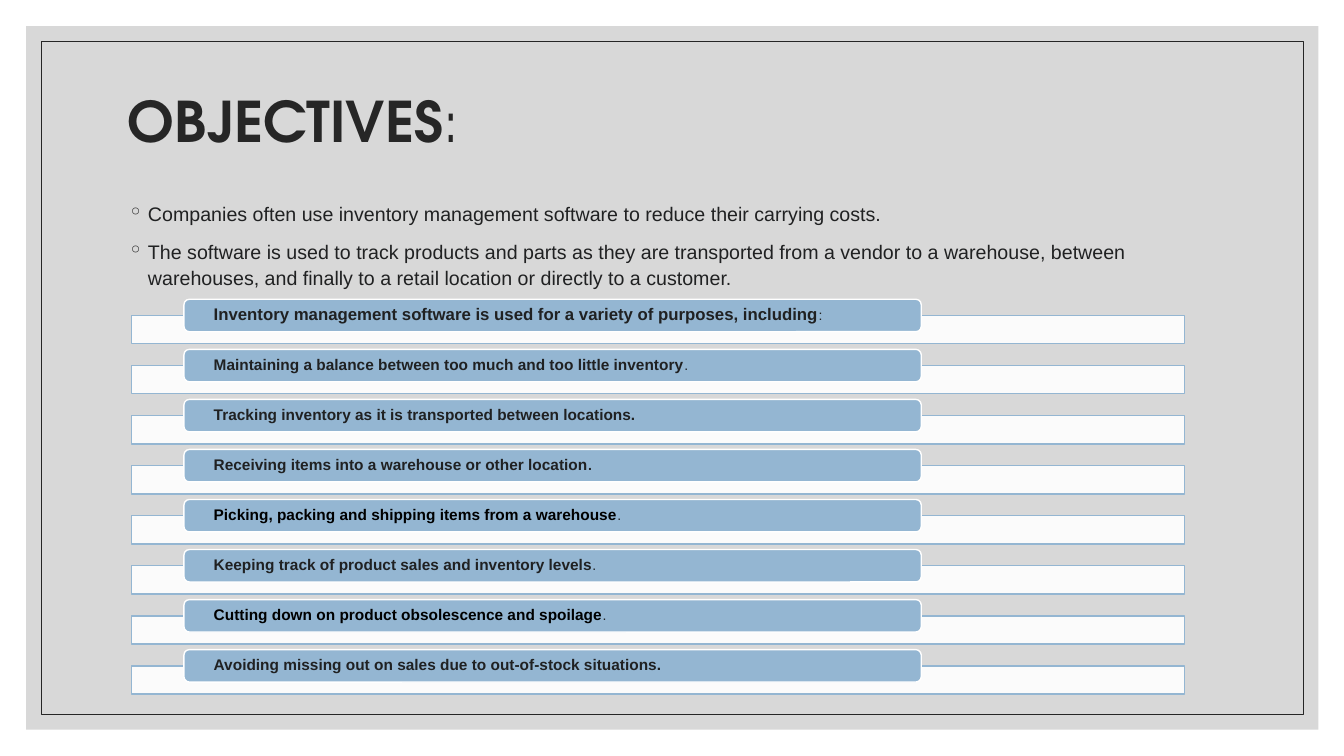
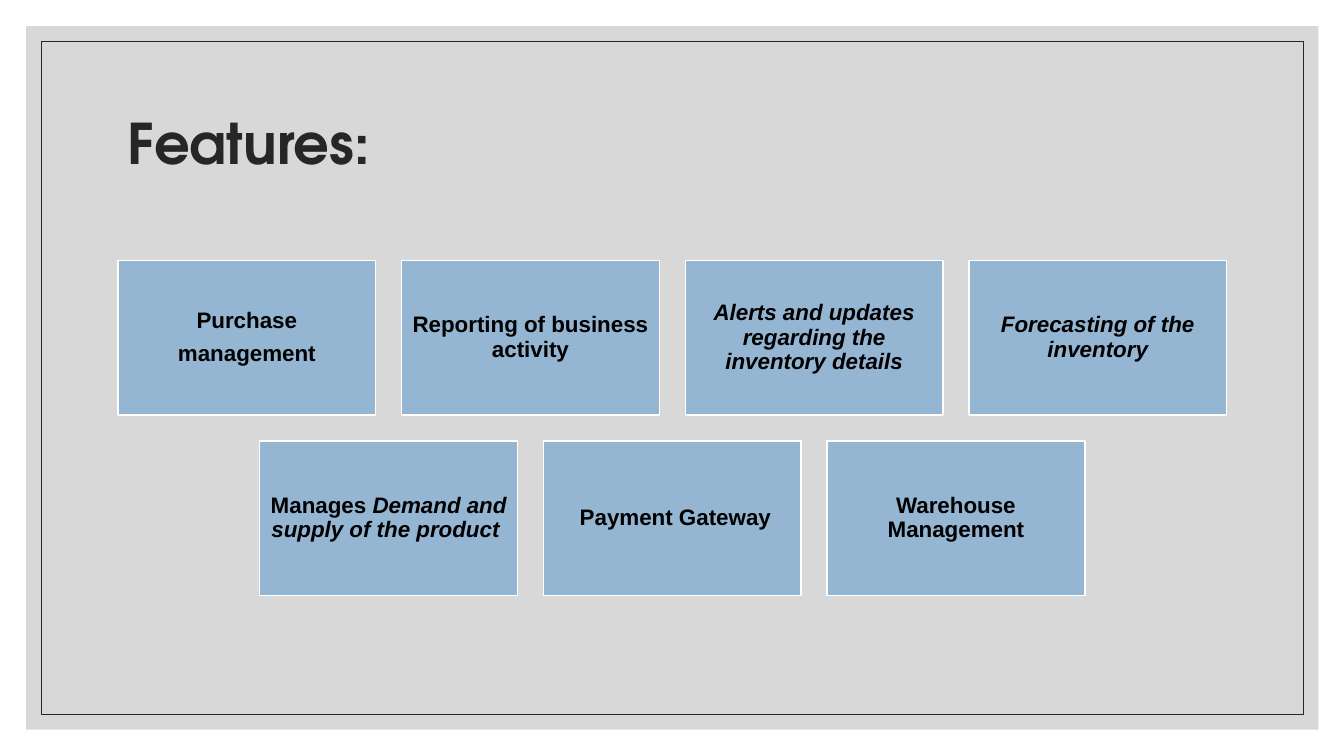
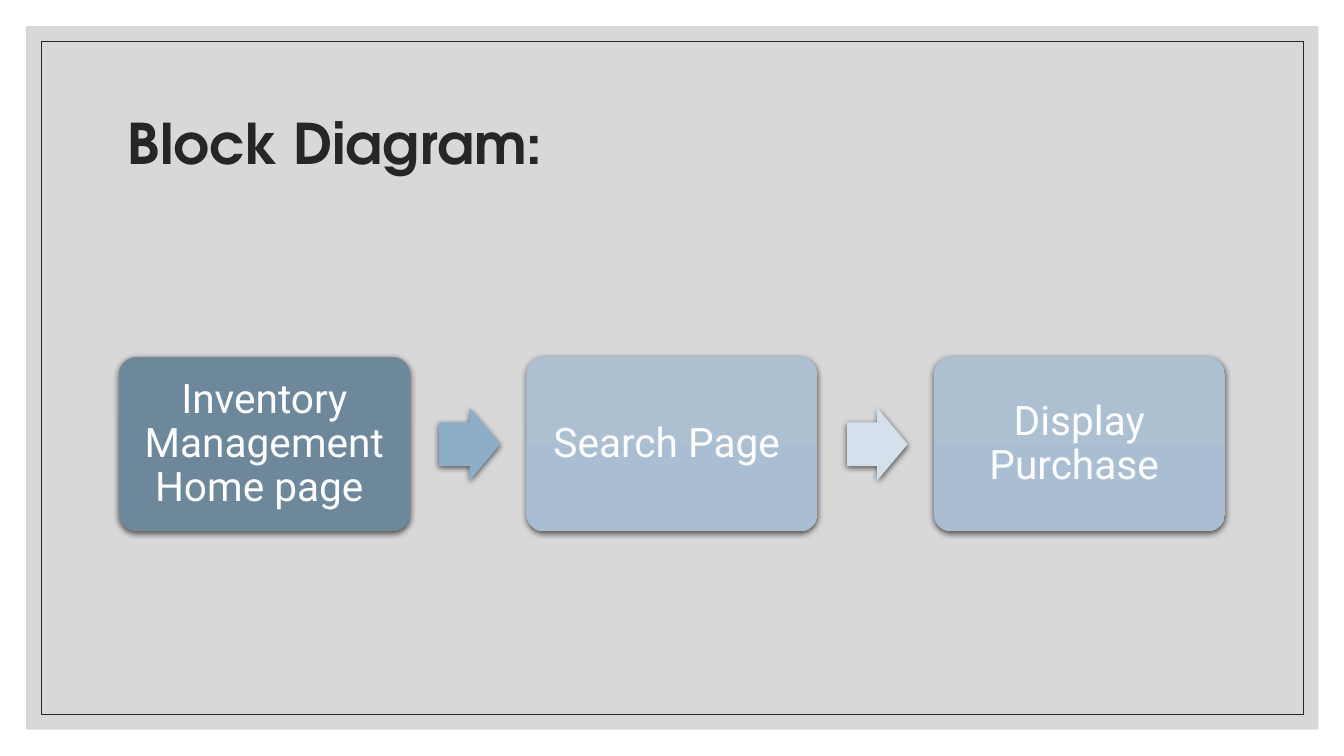
from dataclasses import dataclass
from typing import NamedTuple

from lxml.etree import SubElement
from pptx import Presentation
from pptx.dml.color import RGBColor
from pptx.enum.shapes import MSO_SHAPE
from pptx.enum.text import MSO_ANCHOR, PP_ALIGN
from pptx.oxml.ns import qn
from pptx.util import Pt

COLORS = {
    "white": "FFFFFF",
    "band": "BFBFBF",
    "dark": "262626",
    "ink": "202122",
    "black": "000000",
    "blue": "94B6D2",
}
GRADIENTS = {
    "home": ("6D879B", "6B869B"),
    "page": ("ACC0D2", "A9BED2"),
    "first arrow": ("8DAEC9", "8BACC8"),
    "second arrow": ("D3DFEA", "D0DDE9"),
}


class Box(NamedTuple):
    """A rectangle in points."""

    left: float
    top: float
    width: float
    height: float

    def lengths(self):
        """Return the four sides as lengths."""
        return [Pt(value) for value in self]


@dataclass
class Style:
    """The look of one run of text."""

    size: float
    color: str = "ink"
    bold: bool = False
    italic: bool = False
    font: str = "Arial"


BAND = Box(18.72, 18.72, 923.04, 502.56)
FRAME = Box(29.52, 29.52, 901.44, 480.96)
TITLE = Box(84.24, 50.4, 792, 108)
HIGH_TITLE = Box(84.24, 34.7, 792, 108)

TITLE_STYLE = Style(40, "dark", bold=True, font="TeX Gyre Adventor")
TITLE_LIGHT = Style(40, "dark", font="TeX Gyre Adventor")
BODY = Style(14)
LEAD = Style(12, bold=True)
ITEM = Style(11, bold=True)
BLACK_ITEM = Style(11, "black", bold=True)
END = Style(10)
BOLD_END = Style(10, bold=True)
CARD = Style(16, "black", bold=True)
SLANTED = Style(16, "black", bold=True, italic=True)
STEP = Style(29, "white", font="Roboto")

BULLETS = [
    "Companies often use inventory management software to reduce their carrying costs.",
    "The software is used to track products and parts as they are transported from a vendor "
    "to a warehouse, between warehouses, and finally to a retail location or directly to a customer.",
]
PURPOSES = [
    [("Inventory management software is used for a variety of purposes, including", LEAD), (":", END)],
    [("Maintaining a balance between too much and too little inventory", ITEM), (".", END)],
    [("Tracking inventory as it is transported between locations.", ITEM)],
    [("Receiving items into a warehouse or other location", ITEM), (".", BOLD_END)],
    [("Picking, packing and shipping items from a warehouse", BLACK_ITEM), (".", END)],
    [("Keeping track of product sales and inventory levels", ITEM), (".", END)],
    [("Cutting down on product obsolescence and spoilage", BLACK_ITEM), (".", END)],
    [("Avoiding missing out on sales due to out-of-stock situations.", ITEM)],
]
FEATURE_ROWS = [
    [
        [[("Purchase", CARD)], [("management", CARD)]],
        [[("Reporting of business activity", CARD)]],
        [[("Alerts and updates regarding the inventory details", SLANTED)]],
        [[("Forecasting of the inventory", SLANTED)]],
    ],
    [
        [[("Manages ", CARD), ("Demand and supply of the product ", SLANTED)]],
        [[(" Payment Gateway", CARD)]],
        [[("Warehouse Management", CARD)]],
    ],
]
STEPS = [
    ("Inventory Management Home page ", "home", "first arrow"),
    ("Search Page ", "page", "second arrow"),
    ("Display Purchase ", "page", None),
]


def rgb(name):
    """Look up a named colour."""
    return RGBColor.from_string(COLORS[name])


def add_box(slide, kind, box, fill=None, line=None, line_width=1, opacity=100):
    """Add a preset shape with a plain fill and outline."""
    shape = slide.shapes.add_shape(kind, *box.lengths())
    shape.shadow.inherit = False
    if fill:
        shape.fill.solid()
        shape.fill.fore_color.rgb = rgb(fill)
    else:
        shape.fill.background()
    if opacity < 100:
        color = shape.element.spPr.find(qn("a:solidFill"))[0]
        SubElement(color, qn("a:alpha"), val=str(opacity * 1000))
    if line:
        shape.line.color.rgb = rgb(line)
        shape.line.width = Pt(line_width)
    else:
        shape.line.fill.background()
    return shape


def add_raised(slide, kind, box, gradient, adjustments):
    """Add a shape with a vertical gradient and a soft shadow."""
    shape = add_box(slide, kind, box)
    for index, value in enumerate(adjustments):
        shape.adjustments[index] = value
    shape.fill.gradient()
    shape.fill.gradient_angle = 270
    for stop, color in zip(shape.fill.gradient_stops, GRADIENTS[gradient]):
        stop.color.rgb = RGBColor.from_string(color)
    effects = shape.element.spPr.find(qn("a:effectLst"))
    shadow = SubElement(effects, qn("a:outerShdw"), blurRad=str(Pt(4.5)), dist=str(Pt(1.5)),
                        dir="5400000", algn="ctr", rotWithShape="0")
    color = SubElement(shadow, qn("a:srgbClr"), val=COLORS["black"])
    SubElement(color, qn("a:alpha"), val="63000")
    return shape


def write(shape, paragraphs, align=PP_ALIGN.LEFT, anchor=MSO_ANCHOR.MIDDLE,
          insets=(7.2, 3.6), line_spacing=0.9, gap=6):
    """Fill a shape with paragraphs of styled runs and return them."""
    frame = shape.text_frame
    frame.word_wrap = True
    frame.vertical_anchor = anchor
    frame.margin_left = frame.margin_right = Pt(insets[0])
    frame.margin_top = frame.margin_bottom = Pt(insets[1])
    for index, runs in enumerate(paragraphs):
        paragraph = frame.add_paragraph() if index else frame.paragraphs[0]
        paragraph.alignment = align
        paragraph.line_spacing = line_spacing
        paragraph.space_before = Pt(gap if index else 0)
        for text, style in runs:
            run = paragraph.add_run()
            run.text = text
            run.font.name = style.font
            run.font.size = Pt(style.size)
            run.font.bold = style.bold
            run.font.italic = style.italic
            run.font.color.rgb = rgb(style.color)
    return frame.paragraphs


def add_page(presentation, title_runs, title_box=TITLE):
    """Add a slide with the shared band, frame and title."""
    slide = presentation.slides.add_slide(presentation.slide_layouts[6])
    add_box(slide, MSO_SHAPE.RECTANGLE, BAND, fill="band", opacity=60)
    add_box(slide, MSO_SHAPE.RECTANGLE, FRAME, line="dark", line_width=0.5)
    write(slide.shapes.add_textbox(*title_box.lengths()), [title_runs])
    return slide


def add_bullets(slide, box, texts):
    """Write a bulleted list at the top of the box."""
    paragraphs = write(slide.shapes.add_textbox(*box.lengths()), [[(text, BODY)] for text in texts],
                       anchor=MSO_ANCHOR.TOP, line_spacing=1.1)
    for paragraph in paragraphs:
        paragraph.space_before = Pt(9)
        properties = paragraph._p.get_or_add_pPr()
        properties.set("marL", str(Pt(14.4)))
        properties.set("indent", str(Pt(-14.4)))
        color = SubElement(properties, qn("a:buClr"))
        SubElement(color, qn("a:srgbClr"), val=COLORS["dark"])
        SubElement(properties, qn("a:buChar"), char="◦")


def add_purposes(slide, box, purposes):
    """Stack one labelled bar for each purpose down the box."""
    bar_height, label_height, label_rise = 20.16, 23.2, 11.6
    pitch = (box.height - label_rise - bar_height) / (len(purposes) - 1)
    for index, runs in enumerate(purposes):
        top = box.top + index * pitch
        bar = Box(box.left, top + label_rise, box.width, bar_height)
        label = Box(box.left + box.width * 0.05, top, box.width * 0.7, label_height)
        add_box(slide, MSO_SHAPE.RECTANGLE, bar, "white", "blue", opacity=90)
        shape = add_box(slide, MSO_SHAPE.ROUNDED_RECTANGLE, label, "blue", "white")
        write(shape, [runs], insets=(20.16, 0))


def add_features(slide, box, rows):
    """Lay out rows of cards, each row centred in the box."""
    columns = max(len(row) for row in rows)
    width = box.width / (columns + (columns - 1) * 0.1)
    height, gap = width * 0.6, width * 0.1
    for row_index, row in enumerate(rows):
        row_width = len(row) * (width + gap) - gap
        left = box.left + (box.width - row_width) / 2
        top = box.top + row_index * (height + gap)
        for index, paragraphs in enumerate(row):
            card = Box(left + index * (width + gap), top, width, height)
            shape = add_box(slide, MSO_SHAPE.RECTANGLE, card, "blue", "white")
            write(shape, paragraphs, PP_ALIGN.CENTER, insets=(4.8, 4.8))


def add_flow(slide, box, steps):
    """Lay out steps from left to right with arrows between them."""
    width = box.width / (1 + (len(steps) - 1) * 1.4)
    arrow_width, arrow_height = width * 0.21, width * 0.25
    for index, (text, gradient, arrow_gradient) in enumerate(steps):
        left = box.left + index * width * 1.4
        step = Box(left, box.top, width, box.height)
        shape = add_raised(slide, MSO_SHAPE.ROUNDED_RECTANGLE, step, gradient, [0.1])
        write(shape, [[(text, STEP)]], PP_ALIGN.CENTER, insets=(8.64, 8.64))
        if arrow_gradient:
            arrow = Box(left + width * 1.1, box.top + (box.height - arrow_height) / 2,
                        arrow_width, arrow_height)
            add_raised(slide, MSO_SHAPE.RIGHT_ARROW, arrow, arrow_gradient, [0.6, 0.5])


def main():
    """Build and save the presentation."""
    presentation = Presentation()
    presentation.slide_width, presentation.slide_height = Pt(960), Pt(540)

    objectives = add_page(presentation, [("OBJECTIVES", TITLE_STYLE), (":", TITLE_LIGHT)], HIGH_TITLE)
    add_bullets(objectives, Box(84.24, 139, 792, 330), BULLETS)
    add_purposes(objectives, Box(93.8, 213.8, 752.4, 282), PURPOSES)

    features = add_page(presentation, [("Features:", TITLE_STYLE)])
    add_features(features, Box(84.24, 186, 792, 240), FEATURE_ROWS)

    diagram = add_page(presentation, [("Block Diagram:", TITLE_STYLE)])
    add_flow(diagram, Box(85, 255, 790, 124.6), STEPS)

    presentation.save("out.pptx")


if __name__ == "__main__":
    main()
